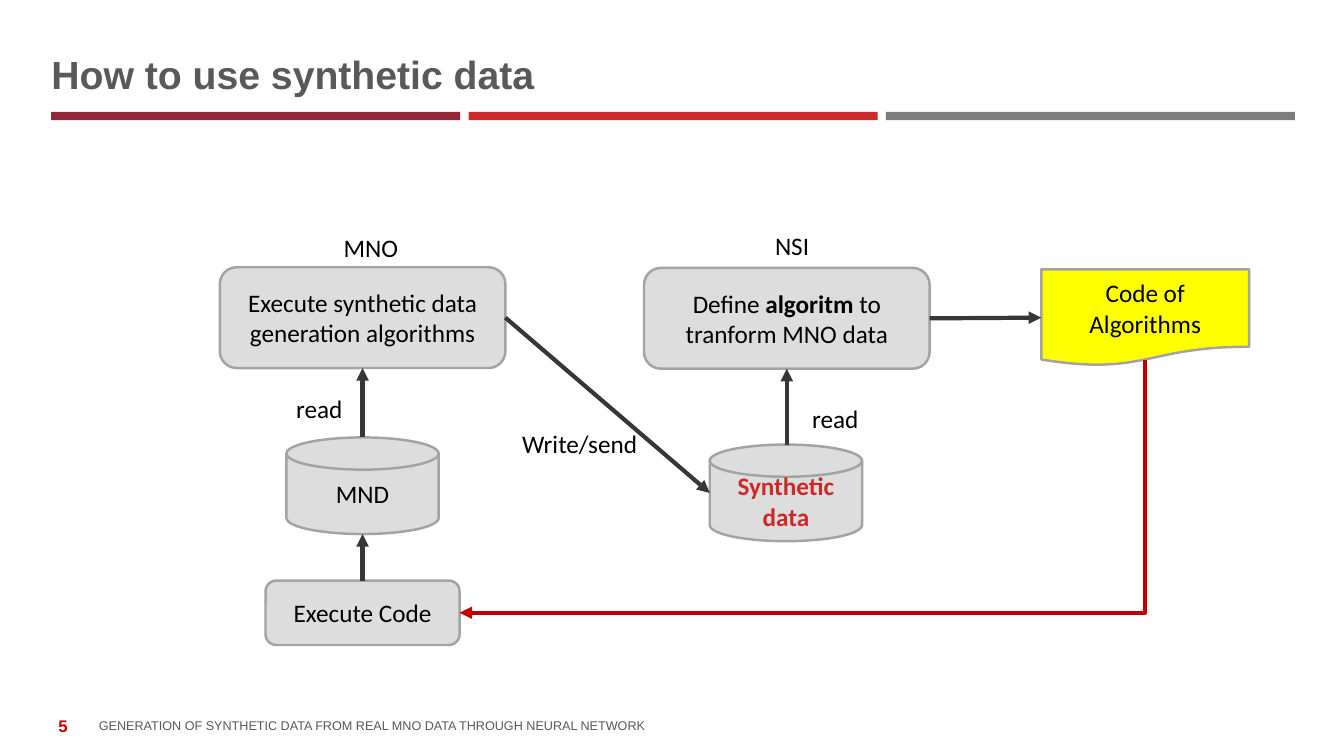
from dataclasses import dataclass

from lxml.etree import SubElement
from pptx import Presentation
from pptx.dml.color import RGBColor
from pptx.enum.shapes import MSO_CONNECTOR, MSO_SHAPE
from pptx.enum.text import MSO_ANCHOR, MSO_AUTO_SIZE, PP_ALIGN
from pptx.oxml.ns import qn
from pptx.util import Pt


@dataclass(frozen=True)
class Theme:
    """Colours, fonts and type sizes of the slide."""
    bars: tuple = ("942639", "CC2A2A", "7B7C7E")
    grey_text: str = "595959"
    black: str = "000000"
    red: str = "C00000"
    accent: str = "CC2A2A"
    node: str = "DDDDDD"
    code: str = "FFFF00"
    outline: str = "A3A3A3"
    arrow: str = "373737"
    heading_font: str = "Arial"
    body_font: str = "Calibri"
    title_size: int = 28
    body_size: int = 18
    number_size: int = 12
    footer_size: int = 9


THEME = Theme()
TOP, LEFT, BOTTOM, RIGHT = range(4)


def apply(target, values):
    """Set each attribute of target from a dict of format values."""
    for name, value in values.items():
        setattr(target, name, value)


def write(shape, pieces, frame_format, paragraph_format, color=THEME.black,
          size=THEME.body_size, font=THEME.body_font):
    """Write (text, bold) pieces as one paragraph."""
    frame = shape.text_frame
    apply(frame, {"word_wrap": True, **frame_format})
    paragraph = frame.paragraphs[0]
    apply(paragraph, paragraph_format)
    for text, bold in pieces:
        run = paragraph.add_run()
        run.text = text
        apply(run.font, {"name": font, "size": Pt(size), "bold": bold})
        run.font.color.rgb = RGBColor.from_string(color)


def add_block(slide, preset, box, fill, outline=None):
    """Add a filled preset shape, outlined if a colour is given."""
    block = slide.shapes.add_shape(preset, *map(Pt, box))
    block.shadow.inherit = False
    block.fill.solid()
    block.fill.fore_color.rgb = RGBColor.from_string(fill)
    if outline:
        block.line.color.rgb = RGBColor.from_string(outline)
        block.line.width = Pt(1.75)
    else:
        block.line.fill.background()
    return block


def add_node(slide, preset, box, pieces, fill=THEME.node, color=THEME.black):
    """Add a diagram node with centred text."""
    node = add_block(slide, preset, box, fill, THEME.outline)
    write(node, pieces, {"vertical_anchor": MSO_ANCHOR.MIDDLE},
          {"alignment": PP_ALIGN.CENTER}, color)
    return node


def add_label(slide, box, text):
    """Add a free label beside a node or an arrow."""
    label = slide.shapes.add_textbox(*map(Pt, box))
    write(label, [(text, False)],
          {"auto_size": MSO_AUTO_SIZE.SHAPE_TO_FIT_TEXT}, {})


def add_heading_text(slide, box, text, frame_format, paragraph_format, **style):
    """Add title or footer text in the heading font."""
    heading = slide.shapes.add_textbox(*map(Pt, box))
    bold = style.pop("bold", True)
    write(heading, [(text, bold)], frame_format, paragraph_format,
          font=THEME.heading_font, **style)


def style_arrow(arrow, color):
    """Colour a connector, give it an arrowhead and drop its shadow."""
    arrow.line.color.rgb = RGBColor.from_string(color)
    arrow.line.width = Pt(3)
    SubElement(arrow.line._get_or_add_ln(), qn("a:tailEnd"), type="triangle")
    SubElement(arrow._element.spPr, qn("a:effectLst"))


def add_arrow(slide, start, end, source=None, target=None):
    """Add a straight arrow, joined to (node, side) pairs where given."""
    arrow = slide.shapes.add_connector(
        MSO_CONNECTOR.STRAIGHT, *map(Pt, start + end))
    if source:
        arrow.begin_connect(*source)
    if target:
        arrow.end_connect(*target)
    style_arrow(arrow, THEME.arrow)


def add_corner_arrow(slide, start, end):
    """Add an arrow that runs down from start, then left to end."""
    across, down = start[0] - end[0], end[1] - start[1]
    left = (start[0] + end[0] - down) / 2
    top = (start[1] + end[1] - across) / 2
    arrow = slide.shapes.add_connector(
        MSO_CONNECTOR.ELBOW, *map(Pt, (left, top, left + down, top + across)))
    properties = arrow._element.spPr
    properties.find(qn("a:xfrm")).set("rot", str(90 * 60000))
    properties.find(qn("a:prstGeom")).set("prst", "bentConnector2")
    style_arrow(arrow, THEME.red)


def add_frame(slide):
    """Add the title, the three bars and the footer."""
    for index, color in enumerate(THEME.bars):
        add_block(slide, MSO_SHAPE.RECTANGLE,
                  (36.6 + 298.1 * index, 80, 292.2, 5.8), color)
    flush = dict.fromkeys(
        ("margin_left", "margin_top", "margin_right", "margin_bottom"), 0)
    flush["vertical_anchor"] = MSO_ANCHOR.BOTTOM
    add_heading_text(slide, (36.7, 39.6, 887, 30.2), "How to use synthetic data",
                     flush, {"line_spacing": Pt(30)},
                     color=THEME.grey_text, size=THEME.title_size)
    add_heading_text(slide, (25.2, 504, 39.6, 28.8), "5",
                     {"vertical_anchor": MSO_ANCHOR.MIDDLE},
                     {"alignment": PP_ALIGN.CENTER},
                     color=THEME.red, size=THEME.number_size)
    add_heading_text(slide, (70.6, 503.3, 759.6, 20.2),
                     "GENERATION OF SYNTHETIC DATA FROM REAL MNO DATA "
                     "THROUGH NEURAL NETWORK", flush, {}, bold=False,
                     color=THEME.grey_text, size=THEME.footer_size)


def add_diagram(slide):
    """Add the data flow between the MNO and the NSI."""
    rounded, disk = MSO_SHAPE.ROUNDED_RECTANGLE, MSO_SHAPE.FLOWCHART_MAGNETIC_DISK
    add_node(slide, disk, (204.6, 312.5, 108.8, 69), [("MND", False)])
    generation = add_node(
        slide, rounded, (157, 190.9, 204, 72),
        [("Execute synthetic data generation algorithms", False)])
    add_node(slide, disk, (507, 317.6, 108.8, 69),
             [("Synthetic data", True)], color=THEME.accent)
    definition = add_node(
        slide, rounded, (460, 191.4, 204, 72),
        [("Define ", False), ("algoritm", True), (" to tranform MNO data", False)])
    code = add_node(slide, MSO_SHAPE.FLOWCHART_DOCUMENT, (743.8, 192.4, 148.4, 69),
                    [("Code of Algorithms", False)], THEME.code)
    execution = add_node(slide, rounded, (189.7, 414.7, 138.6, 46),
                         [("Execute Code", False)])

    for left, top, width, text in (
            (238.3, 162.7, 108.7, "MNO"), (546.5, 160.6, 49.7, "NSI"),
            (204.5, 277.2, 54.7, "read"), (573.1, 284.8, 54.7, "read"),
            (365.8, 302.6, 108.7, "Write/send")):
        add_label(slide, (left, top, width, 29), text)

    add_arrow(slide, (259, 312.5), (259, 262.9), target=(generation, BOTTOM))
    add_arrow(slide, (361, 226.9), (507, 352.1), source=(generation, RIGHT))
    add_arrow(slide, (562, 317.6), (562, 263.4), target=(definition, BOTTOM))
    add_arrow(slide, (664, 227.4), (743.8, 226.9),
              (definition, RIGHT), (code, LEFT))
    add_arrow(slide, (259, 414.7), (259, 381.5), source=(execution, TOP))
    add_corner_arrow(slide, (818, 257), (328.3, 437.7))


def main():
    """Build the slide and save it."""
    deck = Presentation()
    apply(deck, {"slide_width": Pt(960), "slide_height": Pt(540)})
    slide = deck.slides.add_slide(deck.slide_layouts[6])
    add_frame(slide)
    add_diagram(slide)
    deck.save("out.pptx")


if __name__ == "__main__":
    main()
